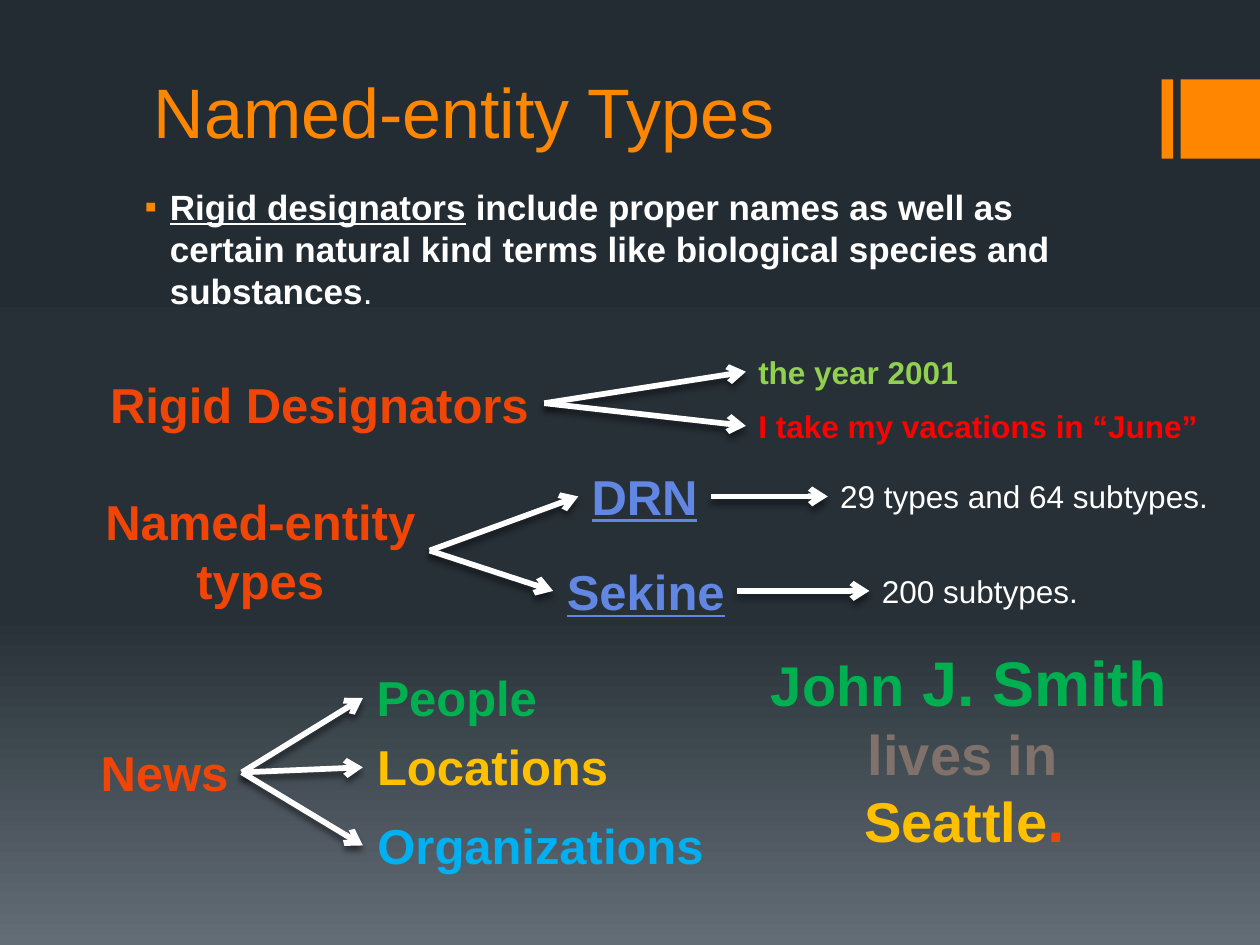
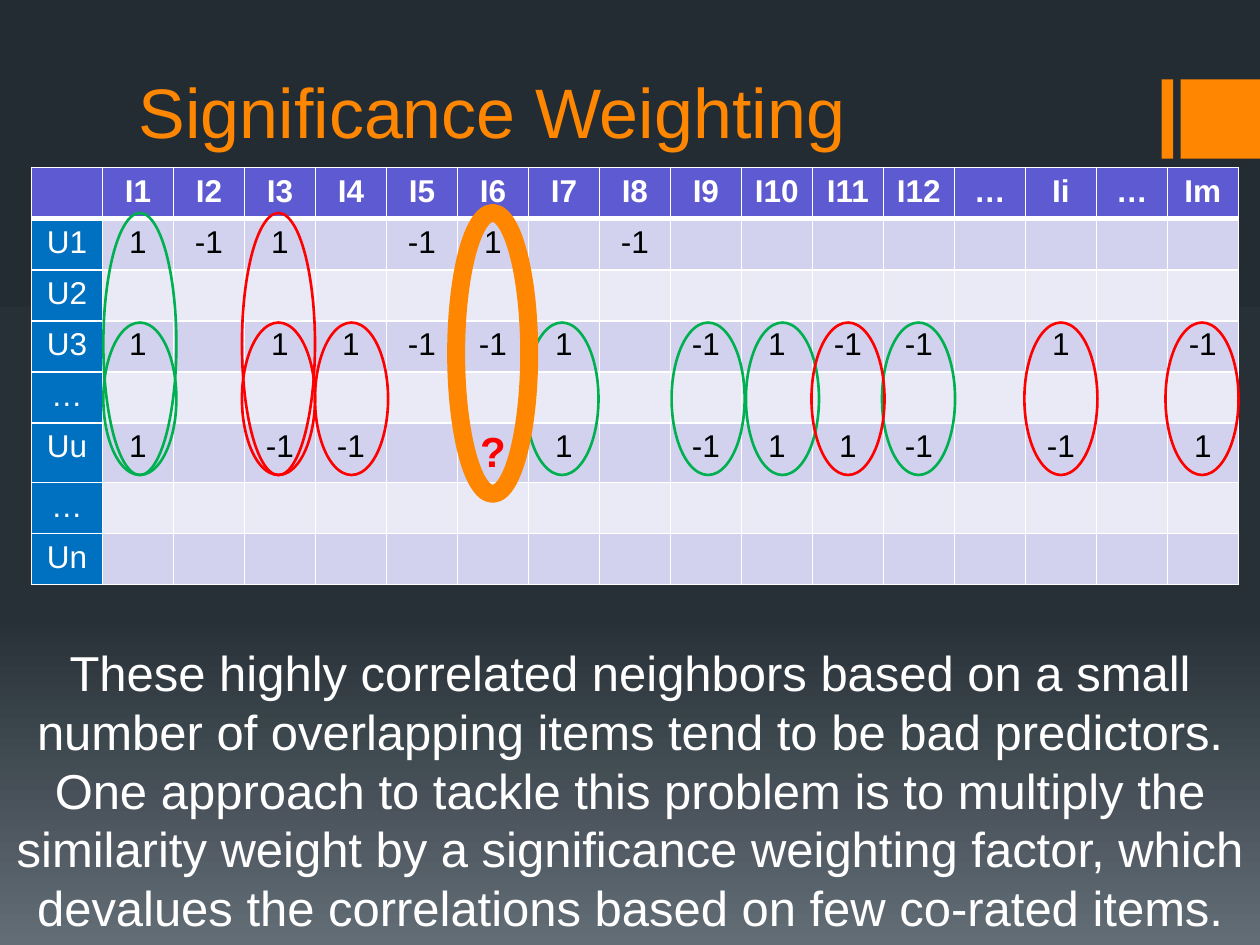
from typing import NamedTuple

import lxml.etree
import pptx
import pptx.dml.color
import pptx.enum.shapes
import pptx.enum.text
import pptx.oxml.ns
import pptx.slide
import pptx.util

RGBColor = pptx.dml.color.RGBColor
Align = pptx.enum.text.PP_ALIGN
Shape = pptx.enum.shapes.MSO_SHAPE
qn = pptx.oxml.ns.qn

EMU_PER_PX = 9144
FONT = "Arial"
TITLE_ONLY = 5

WHITE = RGBColor(0xFF, 0xFF, 0xFF)
BLACK = RGBColor(0x00, 0x00, 0x00)
ORANGE = RGBColor(0xFF, 0x86, 0x00)
EMBER = RGBColor(0xF0, 0x45, 0x07)
RED = RGBColor(0xFF, 0x00, 0x00)
GREEN = RGBColor(0x00, 0xB0, 0x50)
LIME = RGBColor(0x92, 0xD0, 0x50)
GOLD = RGBColor(0xFF, 0xC0, 0x00)
SKY = RGBColor(0x00, 0xB0, 0xF0)
LINK = RGBColor(0x61, 0x87, 0xE3)
TAUPE = RGBColor(0x80, 0x71, 0x6A)
HEADER_FILL = RGBColor(0x5D, 0x5A, 0xD2)
USER_FILL = RGBColor(0x00, 0x70, 0xC0)
BAND_FILLS = (RGBColor(0xEA, 0xEA, 0xF7), RGBColor(0xD2, 0xD2, 0xEE))
BACKDROP = (
    (0, RGBColor(0x24, 0x2C, 0x33)),
    (65, RGBColor(0x27, 0x30, 0x37)),
    (100, RGBColor(0x63, 0x6D, 0x76)),
)


class Span(NamedTuple):
    text: str
    color: RGBColor = EMBER
    size: int = 28
    bold: bool = True
    underline: bool = False


class Label(NamedTuple):
    left: int
    top: int
    width: int
    height: int
    lines: list[list[Span]]
    align: Align = Align.LEFT
    wrap: bool = False


class Fan(NamedTuple):
    start: tuple[int, int]
    ends: list[tuple[int, int]]


class OvalRow(NamedTuple):
    lefts: list[int]
    top: int
    height: int
    color: RGBColor
    weight: float = 1.5


RIGID_DEFINITION = Label(100, 142, 800, 114, [[
    Span("Rigid designators", WHITE, 20, underline=True),
    Span(" include proper names as well as certain natural kind terms "
         "like biological species and substances", WHITE, 20),
    Span(".", WHITE, 20, bold=False),
]], wrap=True)

ENTITY_LABELS = [
    Label(75, 292, 357, 57, [[Span("Rigid Designators")]], Align.CENTER),
    Label(592, 275, 180, 40, [[Span("the year 2001", LIME, 18)]]),
    Label(592, 318, 372, 40, [[Span("I take my vacations in “June”", RED, 18)]]),
    Label(72, 385, 269, 104, [[Span("Named-entity")], [Span("types")]], Align.CENTER),
    Label(457, 365, 109, 57, [[Span("DRN", LINK, underline=True)]], Align.CENTER),
    Label(439, 441, 147, 57, [[Span("Sekine", LINK, underline=True)]], Align.CENTER),
    Label(657, 374, 315, 40, [[Span("29 types and 64 subtypes.", WHITE, 18, False)]]),
    Label(690, 449, 177, 40, [[Span("200 subtypes.", WHITE, 18, False)]]),
    Label(69, 584, 123, 57, [[Span("News")]], Align.CENTER),
    Label(288, 525, 149, 57, [[Span("People", GREEN)]], Align.CENTER),
    Label(288, 580, 206, 57, [[Span("Locations", GOLD)]], Align.CENTER),
    Label(288, 642, 282, 57, [[Span("Organizations", SKY)]], Align.CENTER),
    Label(602, 506, 347, 71, [[Span("John", GREEN, 32), Span(" J. Smith", GREEN, 36)]]),
    Label(679, 566, 184, 64, [[Span("lives in", TAUPE, 32)]]),
    Label(676, 614, 187, 71, [[Span("Seattle", GOLD, 32), Span(".", EMBER, 36)]]),
]

ENTITY_FANS = [
    Fan((432, 320), [(592, 295), (592, 338)]),
    Fan((341, 437), [(459, 394), (439, 469)]),
    Fan((564, 394), [(657, 394)]),
    Fan((585, 469), [(690, 469)]),
    Fan((192, 613), [(288, 554), (288, 609), (288, 671)]),
]

ITEMS = [f"I{number}" for number in range(1, 13)] + ["…", "Ii", "…", "Im"]
RATINGS: list[tuple[str, dict[str, str]]] = [
    ("U1", {"I1": "1", "I2": "-1", "I3": "1", "I5": "-1", "I6": "1", "I8": "-1"}),
    ("U2", {}),
    ("U3", {"I1": "1", "I3": "1", "I4": "1", "I5": "-1", "I6": "-1", "I7": "1",
            "I9": "-1", "I10": "1", "I11": "-1", "I12": "-1", "Ii": "1", "Im": "-1"}),
    ("…", {}),
    ("Uu", {"I1": "1", "I3": "-1", "I4": "-1", "I6": "?", "I7": "1",
            "I9": "-1", "I10": "1", "I11": "1", "I12": "-1", "Ii": "-1", "Im": "1"}),
    ("…", {}),
    ("Un", {}),
]

OVAL_WIDTH = 58
OVAL_ROWS = [
    OvalRow([192], 169, 208, RED),
    OvalRow([82], 169, 208, GREEN),
    OvalRow([82, 417, 533, 592, 700], 256, 121, GREEN),
    OvalRow([192, 250, 644, 813, 925], 256, 121, RED),
    OvalRow([362], 169, 223, ORANGE, 10.25),
]

WEIGHTING_NOTE = Label(0, 505, 1000, 246, [
    [Span("These highly correlated neighbors based on a small number of "
          "overlapping items tend to be bad predictors.", WHITE, bold=False)],
    [Span("One approach to tackle this problem is to multiply the similarity "
          "weight by a significance weighting factor, which devalues the "
          "correlations based on few co-rated items.", WHITE, bold=False)],
], Align.CENTER, wrap=True)


def px(*lengths: int) -> list[pptx.util.Emu]:
    return [pptx.util.Emu(length * EMU_PER_PX) for length in lengths]


def add_span(para, text: str, *, color: RGBColor, size: int,
             bold: bool = False, underline: bool = False) -> None:
    span = para.add_run()
    span.text = text
    span.font.name = FONT
    span.font.size = pptx.util.Pt(size)
    span.font.bold = bold
    span.font.underline = underline
    span.font.color.rgb = color


def paint_backdrop(deck) -> None:
    master = deck.slide_master
    fill = master.background.fill
    fill.gradient()
    fill.gradient_angle = 270
    stops = master.element.find(f".//{qn('a:gsLst')}")
    stops.clear()
    for percent, color in BACKDROP:
        stop = lxml.etree.SubElement(stops, qn("a:gs"), pos=str(percent * 1000))
        lxml.etree.SubElement(stop, qn("a:srgbClr"), val=str(color))


def add_plain_shape(page: pptx.slide.Slide, kind: Shape,
                    left: int, top: int, width: int, height: int):
    shape = page.shapes.add_shape(kind, *px(left, top, width, height))
    shape.shadow.inherit = False
    return shape


def start_page(deck, heading: str, title_left: int) -> pptx.slide.Slide:
    page = deck.slides.add_slide(deck.slide_layouts[TITLE_ONLY])
    for left, width in ((922, 9), (937, 63)):
        band = add_plain_shape(page, Shape.RECTANGLE, left, 63, width, 63)
        band.fill.solid()
        band.fill.fore_color.rgb = ORANGE
        band.line.fill.background()
    title = page.shapes.title
    title.left, title.top, title.width, title.height = px(title_left, 0, 800, 126)
    frame = title.text_frame
    frame.auto_size = pptx.enum.text.MSO_AUTO_SIZE.NONE
    frame.vertical_anchor = pptx.enum.text.MSO_ANCHOR.BOTTOM
    para = frame.paragraphs[0]
    para.alignment = Align.LEFT
    add_span(para, heading, color=ORANGE, size=40)
    return page


def add_label(page: pptx.slide.Slide, label: Label):
    box = page.shapes.add_textbox(*px(label.left, label.top, label.width, label.height))
    frame = box.text_frame
    frame.word_wrap = label.wrap
    frame.auto_size = pptx.enum.text.MSO_AUTO_SIZE.SHAPE_TO_FIT_TEXT
    for index, line in enumerate(label.lines):
        para = frame.add_paragraph() if index else frame.paragraphs[0]
        para.alignment = label.align
        for span in line:
            add_span(para, **span._asdict())
    return box


def add_bullet(para, mark: str, color: RGBColor) -> None:
    properties = para._p.get_or_add_pPr()
    properties.set("marL", str(px(25)[0]))
    properties.set("indent", str(px(-20)[0]))
    paint = lxml.etree.SubElement(properties, qn("a:buClr"))
    lxml.etree.SubElement(paint, qn("a:srgbClr"), val=str(color))
    lxml.etree.SubElement(properties, qn("a:buFont"), typeface=FONT)
    lxml.etree.SubElement(properties, qn("a:buChar"), char=mark)


def add_arrow(page: pptx.slide.Slide, start: tuple[int, int], end: tuple[int, int]) -> None:
    arrow = page.shapes.add_connector(
        pptx.enum.shapes.MSO_CONNECTOR.STRAIGHT, *px(*start, *end))
    arrow.line.color.rgb = WHITE
    arrow.line.width = pptx.util.Pt(3.25)
    properties = arrow.element.spPr
    lxml.etree.SubElement(properties.find(qn("a:ln")), qn("a:tailEnd"), type="arrow")
    effects = lxml.etree.SubElement(properties, qn("a:effectLst"))
    shadow = lxml.etree.SubElement(
        effects, qn("a:outerShdw"), blurRad=str(pptx.util.Pt(3.8)),
        dist=str(pptx.util.Pt(3)), dir="5400000", rotWithShape="0")
    shade = lxml.etree.SubElement(shadow, qn("a:srgbClr"), val=str(BLACK))
    lxml.etree.SubElement(shade, qn("a:alpha"), val="48000")


def format_cell(cell, text: str, *, fill: RGBColor, color: RGBColor, size: int = 18,
                bold: bool = False, top: int = 1, bottom: int = 1) -> None:
    properties = cell._tc.get_or_add_tcPr()
    for side, weight in (("L", 1), ("R", 1), ("T", top), ("B", bottom)):
        border = lxml.etree.SubElement(
            properties, qn(f"a:ln{side}"), w=str(pptx.util.Pt(weight)))
        paint = lxml.etree.SubElement(border, qn("a:solidFill"))
        lxml.etree.SubElement(paint, qn("a:srgbClr"), val=str(WHITE))
    cell.fill.solid()
    cell.fill.fore_color.rgb = fill
    if text:
        para = cell.text_frame.paragraphs[0]
        para.alignment = Align.CENTER
        add_span(para, text, color=color, size=size, bold=bold)


def add_ratings_table(page: pptx.slide.Slide) -> None:
    table = page.shapes.add_table(
        len(RATINGS) + 1, len(ITEMS) + 1, *px(25, 133, 958, 324)).table
    table.first_row = True
    table.horz_banding = False
    for column, item in enumerate(["", *ITEMS]):
        format_cell(table.cell(0, column), item, fill=HEADER_FILL,
                    color=WHITE, bold=True, bottom=3)
    for row, (user, ratings) in enumerate(RATINGS, start=1):
        top = 3 if row == 1 else 1
        format_cell(table.cell(row, 0), user, fill=USER_FILL, color=WHITE, top=top)
        for column, item in enumerate(ITEMS, start=1):
            rating = ratings.get(item, "")
            unknown = rating == "?"
            format_cell(table.cell(row, column), rating, fill=BAND_FILLS[row % 2],
                        color=RED if unknown else BLACK, size=24 if unknown else 18,
                        bold=unknown, top=top)


def add_ovals(page: pptx.slide.Slide, ovals: OvalRow) -> None:
    for left in ovals.lefts:
        oval = add_plain_shape(page, Shape.OVAL, left, ovals.top, OVAL_WIDTH, ovals.height)
        oval.fill.background()
        oval.line.color.rgb = ovals.color
        oval.line.width = pptx.util.Pt(ovals.weight)


def build_entity_page(deck) -> None:
    page = start_page(deck, "Named-entity Types", 112)
    definition = add_label(page, RIGID_DEFINITION).text_frame.paragraphs[0]
    definition.space_before = pptx.util.Pt(4)
    add_bullet(definition, "▪", ORANGE)
    for label in ENTITY_LABELS:
        add_label(page, label)
    for fan in ENTITY_FANS:
        for end in fan.ends:
            add_arrow(page, fan.start, end)


def build_weighting_page(deck) -> None:
    page = start_page(deck, "Significance Weighting", 100)
    add_ratings_table(page)
    for ovals in OVAL_ROWS:
        add_ovals(page, ovals)
    add_label(page, WEIGHTING_NOTE)


def main() -> None:
    deck = pptx.Presentation()
    deck.slide_width, deck.slide_height = px(1000, 750)
    paint_backdrop(deck)
    build_entity_page(deck)
    build_weighting_page(deck)
    deck.save("out.pptx")


if __name__ == "__main__":
    main()
